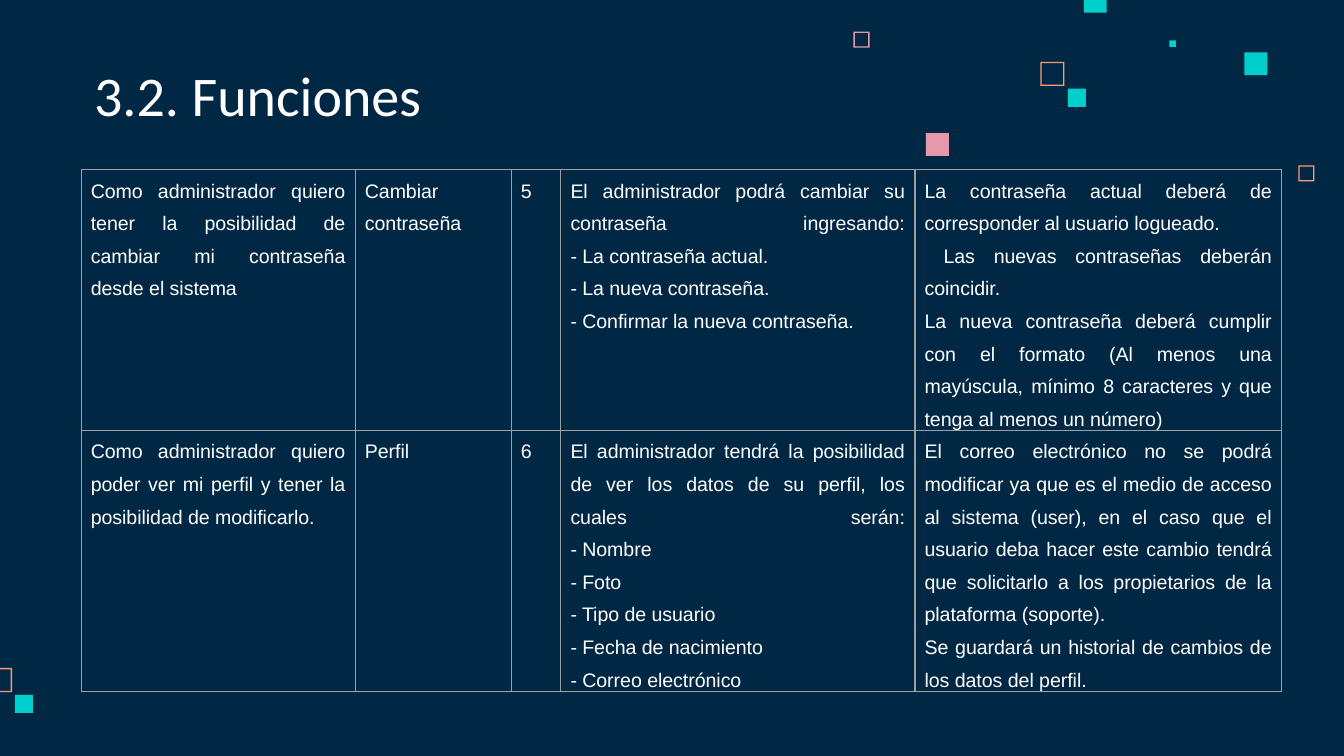
from copy import deepcopy

from lxml import etree
from pptx import Presentation
from pptx.dml.color import RGBColor
from pptx.enum.shapes import MSO_SHAPE
from pptx.enum.text import MSO_ANCHOR, MSO_AUTO_SIZE, PP_ALIGN
from pptx.oxml.ns import qn
from pptx.util import Inches, Pt

SQUARE, FRAME = MSO_SHAPE.RECTANGLE, MSO_SHAPE.FRAME
LEFT, JUSTIFY = PP_ALIGN.LEFT, PP_ALIGN.JUSTIFY
BOTTOM, TOP = MSO_ANCHOR.BOTTOM, MSO_ANCHOR.TOP
NO_FIT = MSO_AUTO_SIZE.NONE
TITLE_ONLY = 5

COLORS = {"navy": "002845", "white": "FFFFFF", "grey": "9E9E9E",
          "orange": "FF9973", "pink": "E898AC", "teal": "00CFCC"}

deck = Presentation()
deck.slide_width = Inches(10)
deck.slide_height = deck.slide_width * 9 // 16
UNIT = deck.slide_width / 100  # lengths below are hundredths of the slide width


def units(*lengths):
    return [round(length * UNIT) for length in lengths]


def style(para, name, size, align):
    para.alignment = align
    for span in para.runs:
        span.font.name, span.font.size = name, Pt(size)
        span.font.color.rgb = RGBColor.from_string(COLORS["white"])


page = deck.slides.add_slide(deck.slide_layouts[TITLE_ONLY])
page.background.fill.solid()
page.background.fill.fore_color.rgb = RGBColor.from_string(COLORS["navy"])

# Scattered squares: kind, left, top, side, colour
squares = [
    (FRAME, 96.6, 12.3, 1.2, "orange"),
    (FRAME, 63.5, 2.35, 1.2, "pink"),
    (FRAME, 77.4, 4.6, 1.8, "orange"),
    (SQUARE, 87, 3, 0.5, "teal"),
    (SQUARE, 80.65, -0.75, 1.7, "teal"),
    (SQUARE, 92.6, 3.9, 1.7, "teal"),
    (SQUARE, 79.45, 6.6, 1.35, "teal"),
    (SQUARE, 68.9, 9.9, 1.7, "pink"),
    (FRAME, -0.9, 49.7, 1.8, "orange"),
    (SQUARE, 1.1, 51.7, 1.35, "teal"),
]
for kind, left, top, side, color in squares:
    box = page.shapes.add_shape(kind, *units(left, top, side, side))
    if kind == FRAME:
        box.adjustments[0] = 0.1 / side
    box.shadow.inherit = False
    box.fill.solid()
    box.fill.fore_color.rgb = RGBColor.from_string(COLORS[color])
    box.line.fill.background()

# Title
title = page.shapes.title
title.left, title.top, title.width, title.height = units(6, 4.2, 59, 6.3)
frame = title.text_frame
frame.text = "3.2. Funciones"
frame.auto_size, frame.vertical_anchor = NO_FIT, BOTTOM
frame.margin_left, frame.margin_right, frame.margin_top, frame.margin_bottom = units(1, 1, 1, 1)
style(frame.paragraphs[0], "Calibri", 30, LEFT)

# Table of functions: \n starts a paragraph, \v breaks a line
functions = [
    ["Como administrador quiero tener la posibilidad de cambiar mi contraseña desde el sistema",
     "Cambiar contraseña",
     "5",
     "El administrador podrá cambiar su contraseña ingresando:\v- La contraseña actual.\n"
     "- La nueva contraseña.\n"
     "- Confirmar la nueva contraseña.",
     "La contraseña actual deberá de corresponder al usuario logueado.\n"
     " Las nuevas contraseñas deberán coincidir.\n"
     "La nueva contraseña deberá cumplir con el formato (Al menos una mayúscula, "
     "mínimo 8 caracteres y que tenga al menos un número)"],
    ["Como administrador quiero poder ver mi perfil y tener la posibilidad de modificarlo.",
     "Perfil",
     "6",
     "El administrador tendrá la posibilidad de ver los datos de su perfil, "
     "los cuales serán:\v- Nombre\n"
     "- Foto\n"
     "- Tipo de usuario\n"
     "- Fecha de nacimiento\n"
     "- Correo electrónico",
     "El correo electrónico no se podrá modificar ya que es el medio de acceso al sistema "
     "(user), en el caso que el usuario deba hacer este cambio tendrá que solicitarlo a los "
     "propietarios de la plataforma (soporte).\n"
     "Se guardará un historial de cambios de los datos del perfil."],
]
widths = [20.4, 11.6, 3.7, 26.35, 27.3]
row_height = 18.7
table = page.shapes.add_table(
    len(functions), len(widths),
    *units(6.04, 12.62, sum(widths), row_height * len(functions))).table
table.first_row = table.horz_banding = False
for column, width in zip(table.columns, units(*widths)):
    column.width = width

for row, texts in zip(table.rows, functions):
    row.height = units(row_height)[0]
    for cell, text in zip(row.cells, texts):
        cell.margin_left, cell.margin_right, cell.margin_top, cell.margin_bottom = units(0.72, 0.72, 0, 0)
        cell.vertical_anchor = TOP
        cell.text_frame.text = text
        for para in cell.text_frame.paragraphs:
            style(para, "Arial", 10.5, JUSTIFY)
            para.line_spacing = 1.5
            # Line breaks take the size of the text around them
            for line_break in para._p.findall(qn("a:br")):
                line_break.append(deepcopy(para.runs[0]._r.rPr))
        # Borders go before the fill in the cell's properties
        properties = cell._tc.get_or_add_tcPr()
        for edge in ("a:lnL", "a:lnR", "a:lnT", "a:lnB"):
            border = etree.SubElement(properties, qn(edge), w=str(Pt(0.75)))
            paint = etree.SubElement(border, qn("a:solidFill"))
            etree.SubElement(paint, qn("a:srgbClr"), val=COLORS["grey"])
        cell.fill.background()

deck.save("out.pptx")
